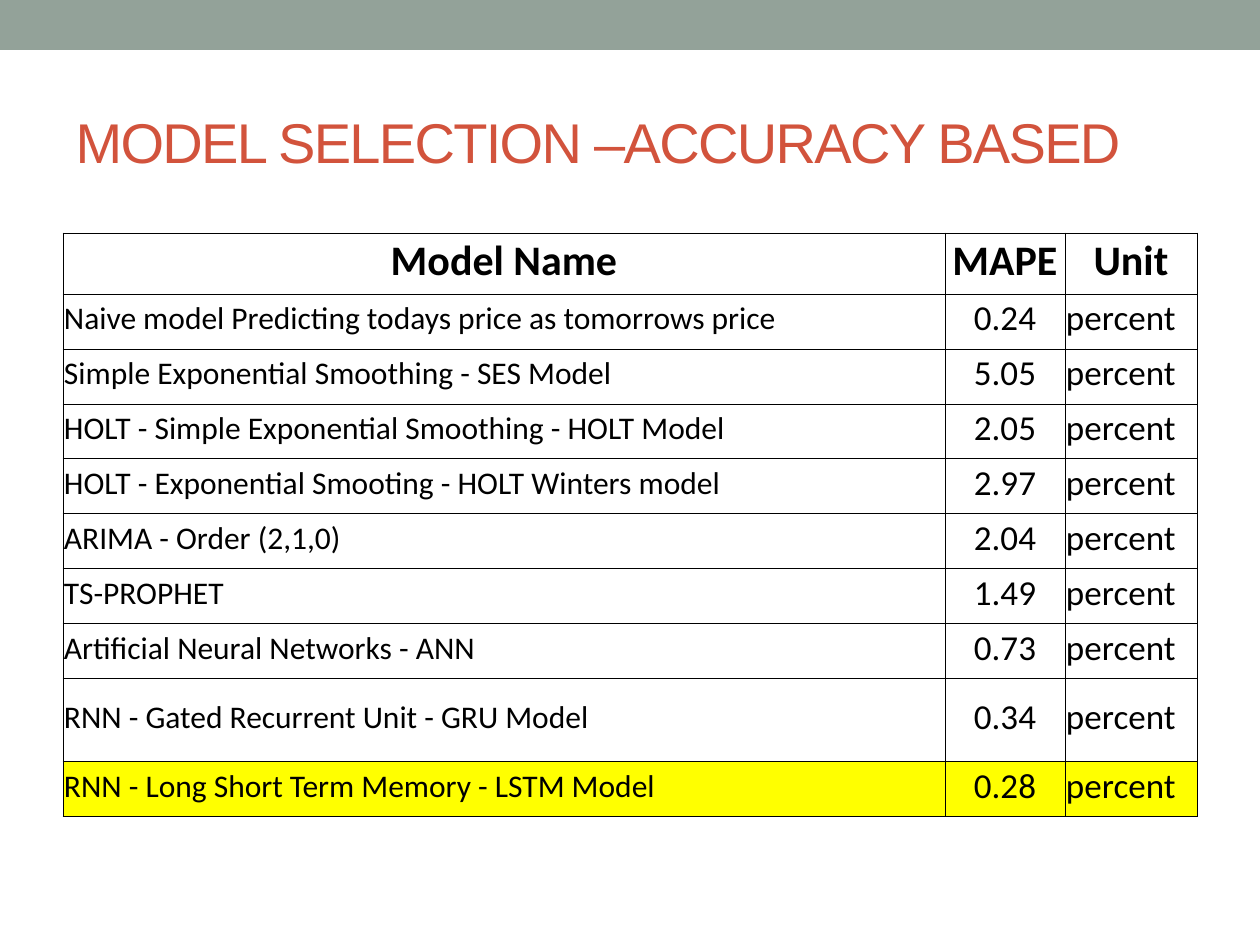
from dataclasses import dataclass

from lxml.etree import SubElement
from pptx import Presentation
from pptx.dml.color import RGBColor
from pptx.enum.shapes import MSO_SHAPE
from pptx.enum.text import MSO_ANCHOR, MSO_AUTO_SIZE, PP_ALIGN
from pptx.oxml.ns import qn
from pptx.util import Emu, Pt

PX_PER_INCH = 126

SAGE = RGBColor(0x93, 0xA2, 0x99)
BRICK = RGBColor(0xD2, 0x53, 0x3C)
BLACK = RGBColor(0, 0, 0)
YELLOW = RGBColor(0xFF, 0xFF, 0)

COLUMN_WIDTHS = (882, 120, 132)
HEADER_HEIGHT, ROW_HEIGHT, TALL_ROW_HEIGHT = 61, 55, 83
BORDER_WIDTH = Pt(0.5)


@dataclass(frozen=True)
class CellStyle:
    size: int
    align: PP_ALIGN
    bold: bool = False


@dataclass(frozen=True)
class ModelScore:
    model: str
    mape: str
    unit: str = "percent"
    height: int = ROW_HEIGHT
    highlighted: bool = False


HEADER_STYLES = (CellStyle(24, PP_ALIGN.CENTER, True),) * 3
BODY_STYLES = (
    CellStyle(18, PP_ALIGN.LEFT),
    CellStyle(20, PP_ALIGN.CENTER),
    CellStyle(20, PP_ALIGN.LEFT),
)

HEADER = ModelScore("Model Name", "MAPE", "Unit", HEADER_HEIGHT)
SCORES = (
    ModelScore("Naive model Predicting todays price as tomorrows price", "0.24"),
    ModelScore("Simple Exponential Smoothing - SES Model", "5.05"),
    ModelScore("HOLT - Simple Exponential Smoothing - HOLT Model", "2.05"),
    ModelScore("HOLT - Exponential Smooting - HOLT Winters model", "2.97"),
    ModelScore("ARIMA - Order (2,1,0)", "2.04"),
    ModelScore("TS-PROPHET", "1.49"),
    ModelScore("Artificial Neural Networks - ANN", "0.73"),
    ModelScore("RNN - Gated Recurrent Unit - GRU Model", "0.34", height=TALL_ROW_HEIGHT),
    ModelScore("RNN - Long Short Term Memory - LSTM Model", "0.28", highlighted=True),
)


def px(length: int) -> Emu:
    return Emu(round(length * 914400 / PX_PER_INCH))


def set_all(target, values: dict) -> None:
    for name, value in values.items():
        setattr(target, name, value)


def add_borders(cell) -> None:
    properties = cell._tc.get_or_add_tcPr()
    for side in ("lnL", "lnR", "lnT", "lnB"):
        line = SubElement(properties, qn(f"a:{side}"), w=str(BORDER_WIDTH))
        fill = SubElement(line, qn("a:solidFill"))
        SubElement(fill, qn("a:srgbClr"), val=str(BLACK))


def fill_cell(cell, text: str, style: CellStyle, highlighted: bool) -> None:
    set_all(cell, {
        "text": text,
        "vertical_anchor": MSO_ANCHOR.MIDDLE,
        "margin_left": px(1),
        "margin_top": px(1),
        "margin_right": px(1),
        "margin_bottom": px(6),
    })
    paragraph = cell.text_frame.paragraphs[0]
    paragraph.alignment = style.align
    font = paragraph.runs[0].font
    set_all(font, {"name": "Calibri", "size": Pt(style.size), "bold": style.bold})
    font.color.rgb = BLACK
    add_borders(cell)
    if highlighted:
        cell.fill.solid()
        cell.fill.fore_color.rgb = YELLOW
    else:
        cell.fill.background()


def add_band(slide) -> None:
    band = slide.shapes.add_shape(MSO_SHAPE.RECTANGLE, 0, 0, px(1260), px(50))
    band.shadow.inherit = False
    band.fill.solid()
    band.fill.fore_color.rgb = SAGE
    band.line.fill.background()


def format_title(slide, text: str) -> None:
    title = slide.shapes.title
    set_all(title, {"left": px(63), "top": px(73), "width": px(1134), "height": px(136)})
    frame = title.text_frame
    set_all(frame, {
        "text": text,
        "word_wrap": True,
        "auto_size": MSO_AUTO_SIZE.NONE,
        "vertical_anchor": MSO_ANCHOR.MIDDLE,
    })
    heading = frame.paragraphs[0]
    heading.alignment = PP_ALIGN.LEFT
    font = heading.runs[0].font
    set_all(font, {"name": "Arial", "size": Pt(32), "bold": False})
    font.color.rgb = BRICK
    # Tighten the letters by one point
    heading.runs[0]._r.get_or_add_rPr().set("spc", "-100")


def add_score_table(slide, scores: tuple[ModelScore, ...]) -> None:
    rows = (HEADER, *scores)
    table = slide.shapes.add_table(
        len(rows), len(COLUMN_WIDTHS), px(63), px(233),
        px(sum(COLUMN_WIDTHS)), px(sum(row.height for row in rows)),
    ).table
    set_all(table, {"first_row": False, "horz_banding": False})
    for column, width in zip(table.columns, COLUMN_WIDTHS):
        column.width = px(width)
    for table_row, row in zip(table.rows, rows):
        table_row.height = px(row.height)
        styles = HEADER_STYLES if row is HEADER else BODY_STYLES
        for cell, text, style in zip(table_row.cells, (row.model, row.mape, row.unit), styles):
            fill_cell(cell, text, style, row.highlighted)


def main() -> None:
    presentation = Presentation()
    set_all(presentation, {"slide_width": px(1260), "slide_height": px(945)})
    slide = presentation.slides.add_slide(presentation.slide_layouts[5])
    add_band(slide)
    format_title(slide, "MODEL SELECTION –ACCURACY BASED")
    add_score_table(slide, SCORES)
    presentation.save("out.pptx")


if __name__ == "__main__":
    main()
